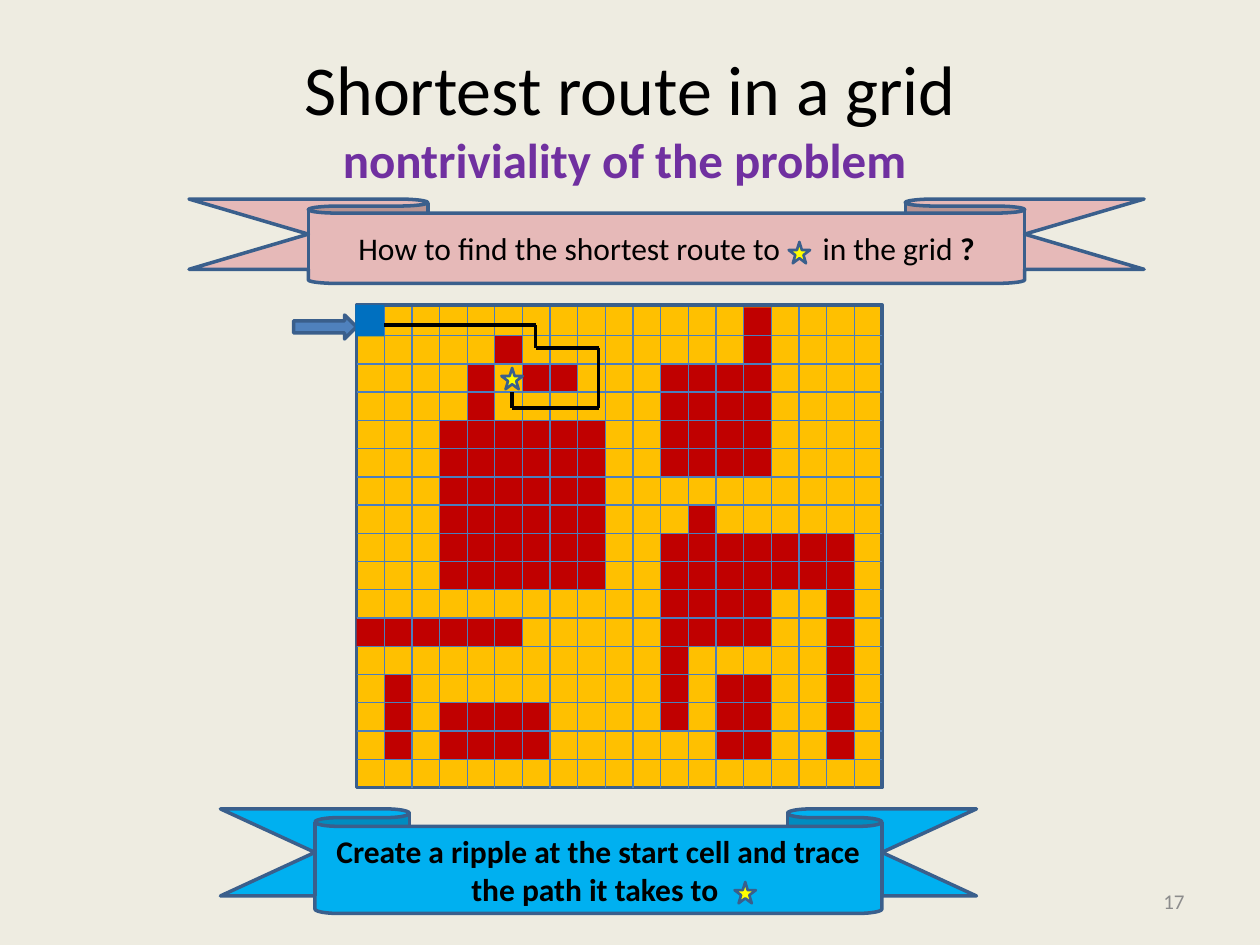
from itertools import pairwise

from lxml import etree
from pptx import Presentation
from pptx.dml.color import RGBColor
from pptx.enum import shapes, text
from pptx.oxml import ns
from pptx.util import Inches, Pt

HUE = dict(back="EEECE1", board="FFC000", edge="3A5F8C", grid="4B7EBC",
           wall="C00000", start="0070C0", arrow="4F81BD", star="FFFF00",
           ask="E6B9B8", answer="00B0F0", ink="000000", sub="7030A0",
           page="8C8C8C")
FONT = "Calibri"
KIND = shapes.MSO_SHAPE
ALIGN = text.PP_ALIGN

# Each text is a list of (words, format); None as words breaks the line.
TITLE = [("Shortest route in a grid", dict(size=40)), (None, {}),
         ("nontriviality of the problem ", dict(size=28, hue="sub", bold=True))]
ASK = [("How to find the shortest route to", {}), (" ", dict(gap=20)),
       ("in the grid", {}), (" ?", dict(bold=True))]
ANSWER = [("Create a ripple at the start cell and trace the path it takes to ",
           dict(bold=True))]

# The board: left, top, right, bottom, and its cells
LEFT, TOP, RIGHT, BOTTOM = 2.83, 2.44, 7, 6.25
COLS, ROWS = 19, 17
# Walls in cells: column, row, columns wide, rows high
WALLS = [(11, 2, 4, 4), (11, 8, 4, 4), (3, 4, 6, 6), (3, 14, 4, 2),
         (13, 13, 2, 3), (6, 2, 2, 1), (0, 11, 6, 1), (1, 13, 1, 3),
         (11, 12, 1, 3), (4, 2, 1, 3), (5, 1, 1, 1), (14, 0, 1, 3),
         (14, 8, 4, 2), (17, 10, 1, 6), (12, 7, 1, 1)]
ROUTE = [(3.05, 2.58), (4.25, 2.58), (4.25, 2.76), (4.75, 2.76),
         (4.75, 3.24), (4.06, 3.24), (4.06, 3.11)]
# Banners: box, fill, text, place of the star
BANNERS = [((1.75, 6.42, 6, 0.83), "answer", ANSWER, (5.83, 7)),
           ((1.5, 1.58, 7.58, 0.67), "ask", ASK, (6.26, 1.92))]


def color(name):
    return RGBColor.from_string(HUE[name])


def shape(home, kind, box, fill, line=None):
    item = home.add_shape(kind, *map(Inches, box))
    item.shadow.inherit = False
    item.fill.solid()
    item.fill.fore_color.rgb = color(fill)
    if line:
        item.line.color.rgb = color("edge")
        item.line.width = Pt(line)
    else:
        item.line.fill.background()
    return item


def line(home, start, end, hue, width):
    item = home.add_connector(shapes.MSO_CONNECTOR.STRAIGHT,
                              *map(Inches, (*start, *end)))
    item.line.color.rgb = color(hue)
    item.line.width = Pt(width)
    etree.SubElement(item._element.spPr, ns.qn("a:effectLst"))


def write(item, parts, align=ALIGN.CENTER, size=18, hue="ink"):
    """Fill a shape with one paragraph; a part's gap widens its letter spacing."""
    frame = item.text_frame
    frame.word_wrap = True
    frame.vertical_anchor = text.MSO_ANCHOR.MIDDLE
    para = frame.paragraphs[0]
    para.alignment = align
    for words, look in parts:
        if words is None:
            para.add_line_break()
            continue
        run = para.add_run()
        run.text = words
        run.font.name = FONT
        run.font.size = Pt(look.get("size", size))
        run.font.bold = look.get("bold", False)
        run.font.color.rgb = color(look.get("hue", hue))
        if "gap" in look:
            run._r.get_or_add_rPr().set("spc", str(look["gap"] * 100))


def star(home, spot):
    shape(home, KIND.STAR_5_POINT, (*spot, 0.17, 0.17), "star", 1.5)


def draw_board(home):
    wide, high = (RIGHT - LEFT) / COLS, (BOTTOM - TOP) / ROWS
    shape(home, KIND.RECTANGLE, (2.83, 2.42, 4.17, 3.83), "board", 2)
    walls = home.add_group_shape().shapes
    for col, row, across, down in WALLS:
        box = (LEFT + col * wide, TOP + row * high, across * wide, down * high)
        shape(walls, KIND.RECTANGLE, box, "wall")
    grid = home.add_group_shape().shapes
    for col in range(1, COLS):
        x = LEFT + col * wide
        line(grid, (x, TOP), (x, BOTTOM), "grid", 0.75)
    for row in range(1, ROWS):
        y = TOP + row * high
        line(grid, (LEFT, y), (RIGHT, y), "grid", 0.75)


def main():
    deck = Presentation()
    deck.slide_width, deck.slide_height = Inches(10), Inches(7.5)
    slide = deck.slides.add_slide(deck.slide_layouts[6])
    slide.background.fill.solid()
    slide.background.fill.fore_color.rgb = color("back")
    home = slide.shapes

    write(home.add_textbox(*map(Inches, (0.5, 0.3, 9, 1.25))), TITLE)
    write(home.add_textbox(*map(Inches, (7.17, 6.95, 2.33, 0.4))),
          [("17", {})], align=ALIGN.RIGHT, size=12, hue="page")

    draw_board(home)
    shape(home, KIND.RIGHT_ARROW, (2.33, 2.5, 0.5, 0.19), "arrow", 2)
    shape(home, KIND.RECTANGLE, (2.82, 2.42, 0.23, 0.25), "start")
    star(home, (3.98, 2.92))
    route = home.add_group_shape().shapes
    for start, end in pairwise(ROUTE):
        line(route, start, end, "ink", 2.25)

    for box, fill, parts, spot in BANNERS:
        group = home.add_group_shape().shapes
        banner = shape(group, KIND.DOWN_RIBBON, box, fill, 2)
        banner.adjustments[0] = 0.167
        banner.adjustments[1] = 0.75
        write(banner, parts)
        star(group, spot)

    deck.save("out.pptx")


if __name__ == "__main__":
    main()
